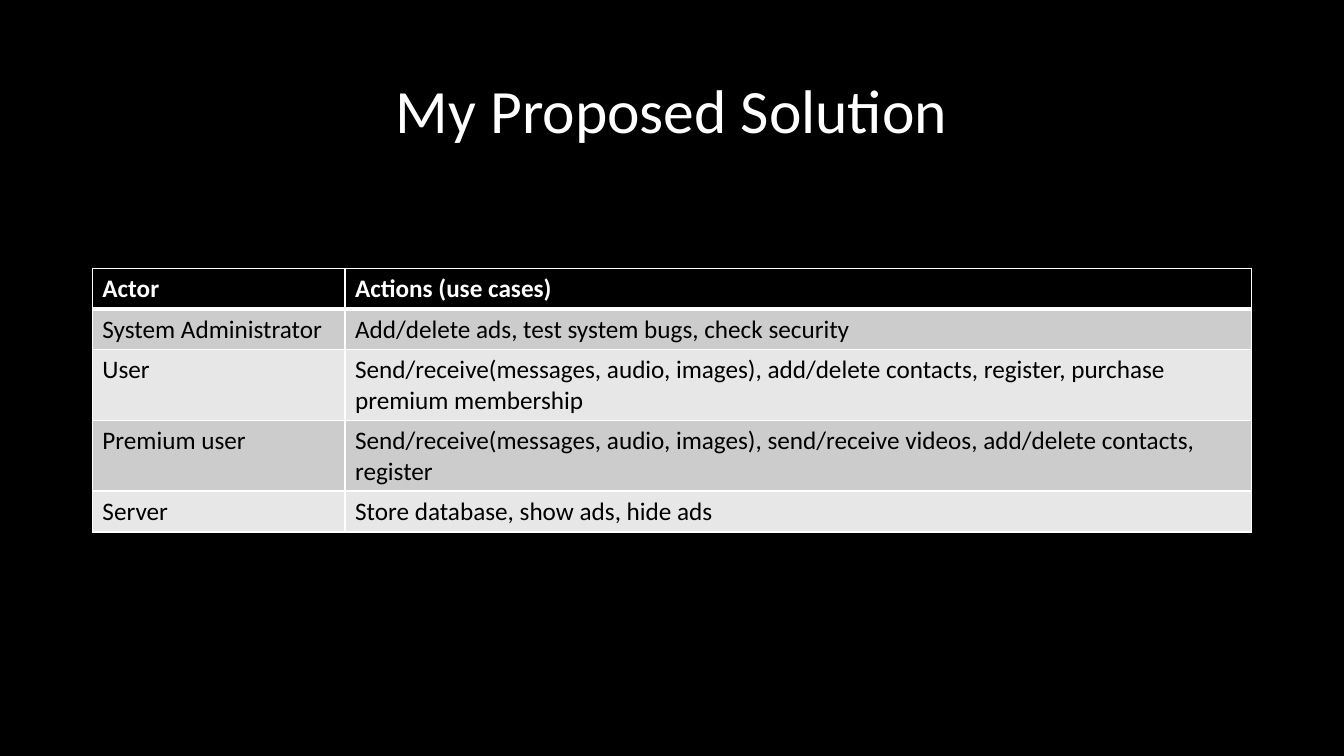
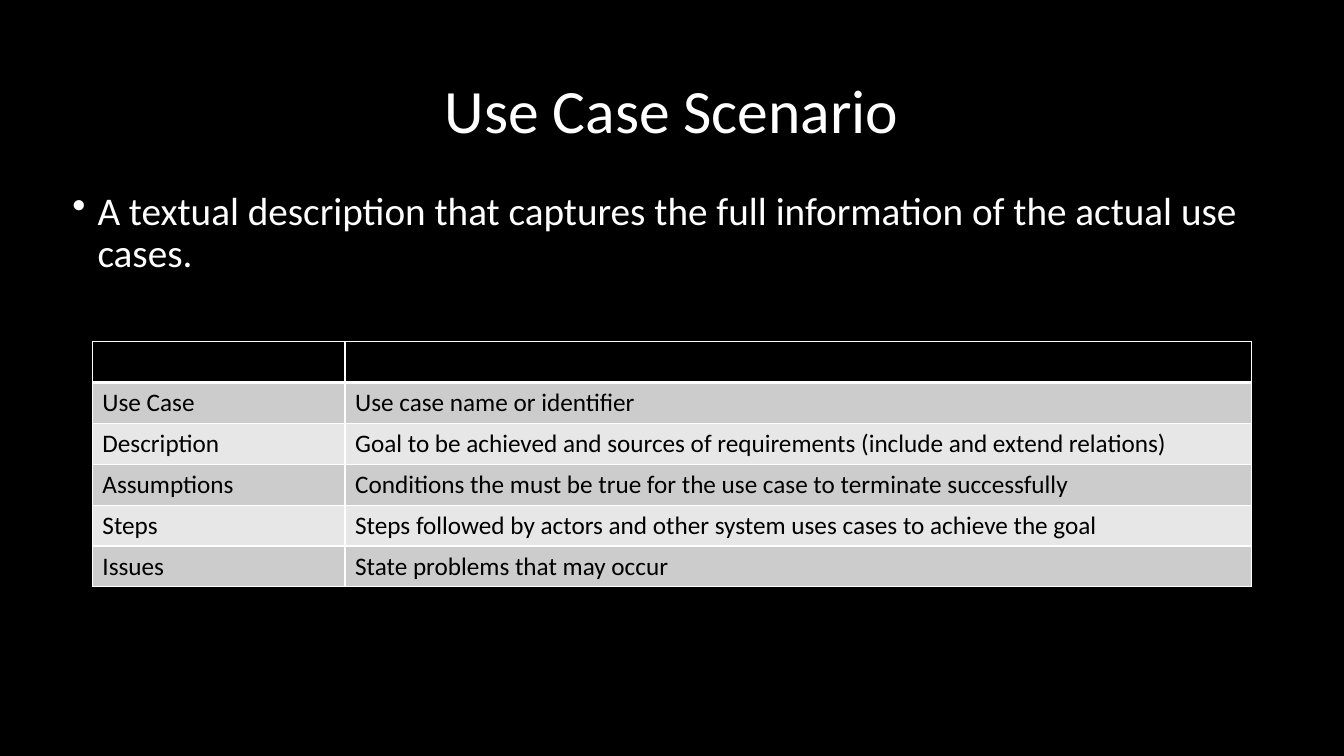
from lxml.etree import SubElement as Sub
from pptx import Presentation
from pptx.dml.color import RGBColor as RGB
from pptx.enum.text import MSO_ANCHOR as Anchor, PP_ALIGN as Align
from pptx.oxml.ns import qn
from pptx.util import Pt

BLACK = RGB(0, 0, 0)
WHITE = RGB(255, 255, 255)
BANDS = (RGB(0xCC, 0xCC, 0xCC), RGB(0xE7, 0xE7, 0xE7))
FONT = "Calibri"
LEFT, WIDTH = 66, 828
COLS = (180.5, 647.5)
ROW = 29.2

ACTORS = [
    ("Actor", "Actions (use cases)"),
    ("System Administrator", "Add/delete ads, test system bugs, check security"),
    ("User", "Send/receive(messages, audio, images), add/delete contacts, "
             "register, purchase premium membership"),
    ("Premium user", "Send/receive(messages, audio, images), send/receive videos, "
                     "add/delete contacts, register"),
    ("Server", "Store database, show ads, hide ads"),
]
FIELDS = [
    ("", ""),
    ("Use Case", "Use case name or identifier"),
    ("Description", "Goal to be achieved and sources of requirements "
                    "(include and extend relations)"),
    ("Assumptions", "Conditions the must be true for the use case to "
                    "terminate successfully"),
    ("Steps", "Steps followed by actors and other system uses cases to "
              "achieve the goal"),
    ("Issues", "State problems that may occur"),
]


def style(para, size, color, bold=False):
    font = para.font
    font.name, font.size, font.bold = FONT, Pt(size), bold
    font.color.rgb = color


def add_text(slide, text, box, size):
    shape = slide.shapes.add_textbox(*map(Pt, box))
    frame = shape.text_frame
    frame.word_wrap = True
    para = frame.paragraphs[0]
    para.text = text
    para.line_spacing = 0.9
    style(para, size, WHITE)
    return frame


def add_slide(deck, title):
    slide = deck.slides.add_slide(deck.slide_layouts[6])
    fill = slide.background.fill
    fill.solid()
    fill.fore_color.rgb = BLACK
    frame = add_text(slide, title, (LEFT, 28.8, WIDTH, 104.4), 44)
    frame.vertical_anchor = Anchor.MIDDLE
    frame.paragraphs[0].alignment = Align.CENTER
    return slide


def add_bullet(slide, text):
    frame = add_text(slide, text, (44.6, 133.2, 849.6, 353.5), 28)
    para = frame.paragraphs[0]
    para.space_before = Pt(10)
    # Hanging indent with a round bullet
    props = para._p.get_or_add_pPr()
    props.set("marL", str(Pt(18)))
    props.set("indent", str(-Pt(18)))
    font = props.find(qn("a:defRPr"))
    mark = Sub(props, qn("a:buChar"), char="•")
    font.addprevious(mark)


def add_border(cell, side, width):
    props = cell._tc.get_or_add_tcPr()
    line = Sub(props, qn(f"a:ln{side}"), w=str(Pt(width)))
    fill = Sub(line, qn("a:solidFill"))
    Sub(fill, qn("a:srgbClr"), val=str(WHITE))


def fill_cell(cell, text, row):
    head = row == 0
    # A thick rule parts the header from the body
    widths = {"L": 1, "R": 1, "T": 3 if row == 1 else 1, "B": 3 if head else 1}
    for side, width in widths.items():
        add_border(cell, side, width)
    cell.fill.solid()
    cell.fill.fore_color.rgb = BLACK if head else BANDS[(row - 1) % 2]
    cell.text = text
    style(cell.text_frame.paragraphs[0], 18, WHITE if head else BLACK, head)


def add_grid(slide, top, rows):
    frame = slide.shapes.add_table(len(rows), len(COLS), Pt(LEFT), Pt(top),
                                   Pt(WIDTH), Pt(ROW * len(rows)))
    table = frame.table
    for col, width in zip(table.columns, COLS):
        col.width = Pt(width)
    for r, texts in enumerate(rows):
        table.rows[r].height = Pt(ROW)
        for c, text in enumerate(texts):
            fill_cell(table.cell(r, c), text, r)


def main():
    deck = Presentation()
    deck.slide_width, deck.slide_height = Pt(960), Pt(540)

    # Actors and their actions
    slide = add_slide(deck, "My Proposed Solution")
    add_grid(slide, 191.5, ACTORS)

    # Parts of a scenario
    slide = add_slide(deck, "Use Case Scenario")
    add_grid(slide, 244, FIELDS)
    add_bullet(slide, "A textual description that captures the full "
                      "information of the actual use cases.")

    deck.save("out.pptx")


if __name__ == "__main__":
    main()
